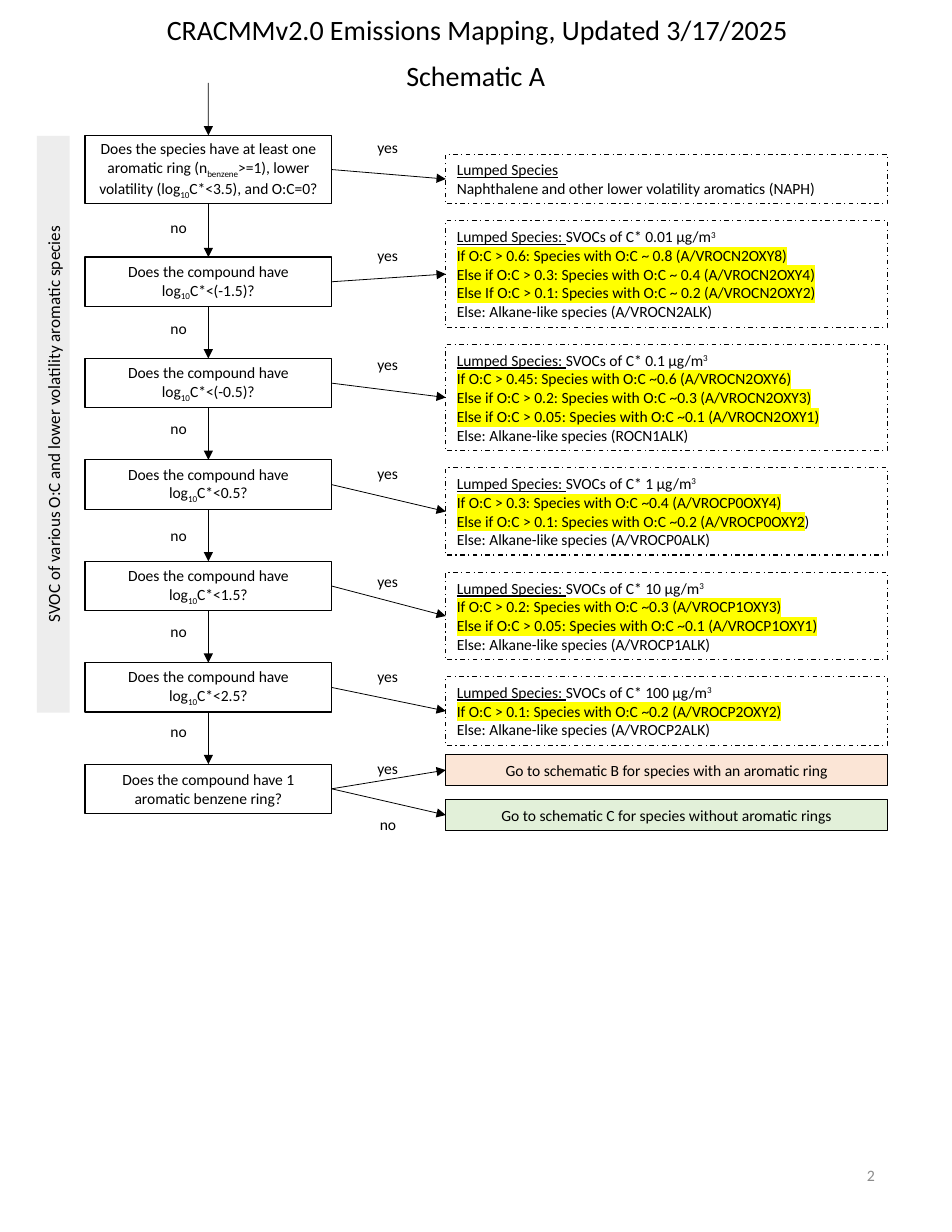
from dataclasses import dataclass
from lxml.etree import SubElement as Sub
from pptx import Presentation
from pptx.dml.color import RGBColor as RGB
from pptx.enum.dml import MSO_LINE as Dash
from pptx.enum.shapes import MSO_CONNECTOR as Conn, MSO_SHAPE as Shape
from pptx.enum.text import MSO_ANCHOR as Anchor, MSO_AUTO_SIZE as Fit, PP_ALIGN as Align
from pptx.oxml.ns import qn
from pptx.util import Cm, Pt


@dataclass(frozen=True)
class Theme:
    font: str = "Calibri"
    ink: str = "000000"
    mute: str = "8C8C8C"
    mark: str = "FFFF00"
    band: str = "EDEDED"
    peach: str = "FBE5D6"
    green: str = "E2F0D9"
    head: float = 18
    body: float = 10
    side: float = 11
    page: float = 10.2
    edge: float = 0.75
    wire: float = 0.5


look = Theme()
deck = Presentation()
deck.slide_width, deck.slide_height = Cm(21.59), Cm(27.94)
slide = deck.slides.add_slide(deck.slide_layouts[5])
shapes = slide.shapes


def put(text, left, top, width, height, shape=None, size=look.body, color=look.ink,
        align=Align.CENTER, fill=None, line=False, dash=None):
    """Place text; parts split by | may open with _ sub, ^ super, = underline, # highlight."""
    spot = Cm(left), Cm(top), Cm(width), Cm(height)
    if shape is not None:
        shape.left, shape.top, shape.width, shape.height = spot
    elif fill or line:
        shape = shapes.add_shape(Shape.RECTANGLE, *spot)
        shape.shadow.inherit = False
        shape.fill.background()
        shape.line.fill.background()
    else:
        shape = shapes.add_textbox(*spot)
    if fill:
        shape.fill.solid()
        shape.fill.fore_color.rgb = RGB.from_string(fill)
    if line:
        shape.line.color.rgb = RGB.from_string(look.ink)
        shape.line.width = Pt(look.edge)
        shape.line.dash_style = dash
    frame = shape.text_frame
    frame.word_wrap, frame.auto_size = True, Fit.NONE
    frame.vertical_anchor = Anchor.MIDDLE
    for i, row in enumerate(text.split("\n")):
        para = frame.add_paragraph() if i else frame.paragraphs[0]
        para.alignment = align
        for part in row.split("|"):
            sign = part[0] if part[0] in "_^=#" else ""
            run = para.add_run()
            run.text = part[len(sign):]
            font = run.font
            font.size = Pt(size)
            font.color.rgb = RGB.from_string(color)
            props = run._r.get_or_add_rPr()
            if sign == "#":
                Sub(Sub(props, qn("a:highlight")), qn("a:srgbClr"), val=look.mark)
            elif sign == "=":
                font.underline = True
            elif sign:
                props.set("baseline", "-25000" if sign == "_" else "30000")
            font.name = look.font
    return shape


def link(start, end, down=False):
    """Draw an arrow between two boxes, or straight down from a height when start is a number."""
    wire = shapes.add_connector(Conn.STRAIGHT, mid, Cm(top_y), mid, Cm(first_y))
    if start is not None:
        wire.begin_connect(start, 2 if down else 3)
    wire.end_connect(end, 0 if down else 1)
    wire.line.color.rgb = RGB.from_string(look.ink)
    wire.line.width = Pt(look.wire)
    Sub(wire.line._get_or_add_ln(), qn("a:tailEnd"), type="triangle")
    Sub(wire._element.spPr, qn("a:effectLst"))


put("CRACMMv2.0 Emissions Mapping, Updated 3/17/2025", 3.53, 0.15, 14.94, 1.02,
    shape=shapes.title, size=look.head, align=Align.LEFT)
put("Schematic A", 6.55, 1.19, 8.48, 1.02, size=look.head)
put("SVOC of various O:C and lower volatility aromatic species",
    -5.33, 9.25, 13.08, 0.74, size=look.side, fill=look.band).rotation = 270
put("2", 15.24, 25.91, 4.85, 1.5, size=look.page, color=look.mute, align=Align.RIGHT)

# Questions down the left: text, lines, top of "yes", top of "no"
ask = "Does the compound have log|_10|C*<"
steps = [
    ("Does the species have at least one aromatic ring (n|_benzene|>=1), lower "
     "volatility (log|_10|C*<3.5), and O:C=0?", 3, 3.0, 4.8),
    (ask + "(-1.5)?", 2, 5.44, 7.09),
    (ask + "(-0.5)?", 2, 7.92, 9.37),
    (ask + "0.5?", 2, 10.39, 11.79),
    (ask + "1.5?", 2, 12.83, 13.97),
    (ask + "2.5?", 2, 14.99, 16.23),
    ("Does the compound have 1 aromatic benzene ring?", 2, 17.07, 18.36),
]
lump = "=Lumped Species: |SVOCs of C* "
groups = [
    "=Lumped Species\nNaphthalene and other lower volatility aromatics (NAPH)",
    lump + "0.01 µg/m|^3\n#If O:C > 0.6: Species with O:C ~ 0.8 (A/VROCN2OXY8)\n"
    "#Else if O:C > 0.3: Species with O:C ~ 0.4 (A/VROCN2OXY4)\n"
    "#Else If O:C > 0.1: Species with O:C ~ 0.2 (A/VROCN2OXY2)\n"
    "Else: Alkane-like species (A/VROCN2ALK)",
    lump + "0.1 µg/m|^3\n#If O:C > 0.45: Species with O:C ~0.6 (A/VROCN2OXY6)\n"
    "#Else if O:C > 0.2: Species with O:C ~0.3 (A/VROCN2OXY3)\n"
    "#Else if O:C > 0.05: Species with O:C ~0.1 (A/VROCN2OXY1)\n"
    "Else: Alkane-like species (ROCN1ALK)",
    lump + "1 µg/m|^3\n#If O:C > 0.3: Species with O:C ~0.4 (A/VROCP0OXY4)\n"
    "#Else if O:C > 0.1: Species with O:C ~0.2 (A/VROCP0OXY2|)\n"
    "Else: Alkane-like species (A/VROCP0ALK)",
    lump + "10 µg/m|^3\n#If O:C > 0.2: Species with O:C ~0.3 (A/VROCP1OXY3)\n"
    "#Else if O:C > 0.05: Species with O:C ~0.1 (A/VROCP1OXY1)\n"
    "Else: Alkane-like species (A/VROCP1ALK)",
    lump + "100 µg/m|^3\n#If O:C > 0.1: Species with O:C ~0.2 (A/VROCP2OXY2)\n"
    "Else: Alkane-like species (A/VROCP2ALK)",
]
ask_x, ask_w, out_x, out_w = 1.93, 5.59, 10.11, 10.01
top_y, first_y, next_y, pitch = 1.88, 3.07, 5.83, 2.3
pad, row_h, gap, label_h = 0.26, 0.43, 0.39, 0.69
mid = Cm(ask_x + ask_w / 2)

boxes = []
for i, (text, rows, yes, no) in enumerate(steps):
    y = next_y + pitch * (i - 1) if i else first_y
    box = put(text, ask_x, y, ask_w, pad + row_h * rows, line=True)
    link(boxes[-1] if boxes else None, box, down=True)
    boxes.append(box)
    put("yes", 8.18, yes, 1.22, label_h)
    put("no", 8.28 if i == len(steps) - 1 else 3.53, no, 1.04, label_h)

y = 3.5
for box, text in zip(boxes, groups):
    height = pad + row_h * len(text.split("\n"))
    link(box, put(text, out_x, y, out_w, height, align=Align.LEFT,
                  line=True, dash=Dash.DASH_DOT))
    y += height + gap

for text, y, fill in [
    ("Go to schematic B for species with an aromatic ring", 17.12, look.peach),
    ("Go to schematic C for species without aromatic rings", 18.14, look.green),
]:
    link(boxes[-1], put(text, out_x, y, out_w, label_h, fill=fill, line=True))

deck.save("out.pptx")
